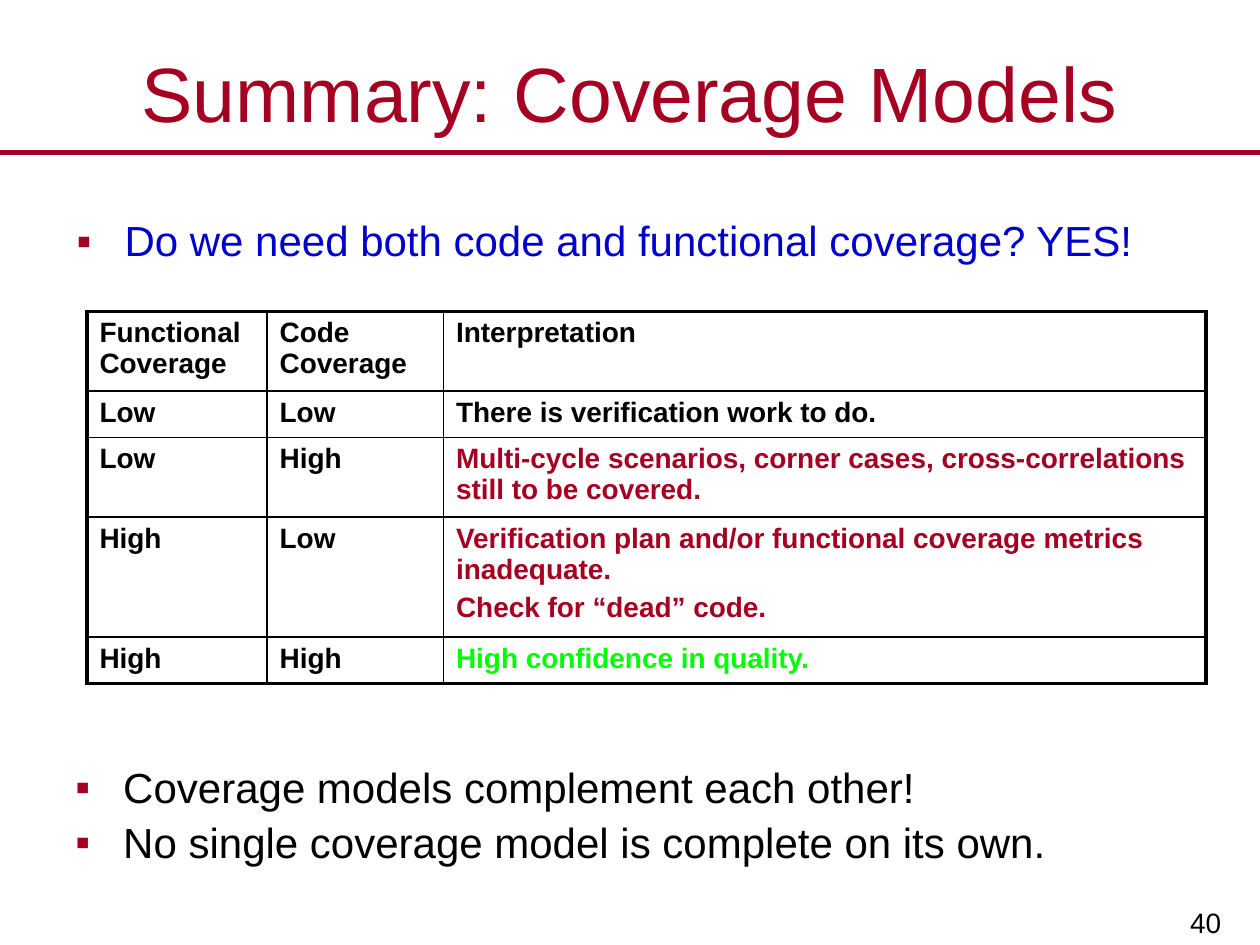
"""Build the summary slide on coverage models."""
from dataclasses import dataclass
from typing import Any

from lxml import etree
from pptx import Presentation
from pptx.dml.color import RGBColor
from pptx.enum.shapes import MSO_CONNECTOR
from pptx.enum.text import MSO_ANCHOR, PP_ALIGN
from pptx.oxml import parse_xml
from pptx.oxml.ns import nsdecls, qn
from pptx.util import Inches, Pt

STRAIGHT = MSO_CONNECTOR.STRAIGHT
TOP, MIDDLE, BOTTOM = MSO_ANCHOR.TOP, MSO_ANCHOR.MIDDLE, MSO_ANCHOR.BOTTOM
LEFT, CENTER, RIGHT = PP_ALIGN.LEFT, PP_ALIGN.CENTER, PP_ALIGN.RIGHT

GRID_COLUMNS, GRID_ROWS = 100, 75
SLIDE_WIDTH, SLIDE_HEIGHT = Inches(10), Inches(7.5)


@dataclass(frozen=True)
class Theme:
    font: str = "Arial"
    red: str = "A50021"
    blue: str = "0000CC"
    green: str = "00FF00"
    black: str = "000000"
    title_size: float = 44
    body_size: float = 24
    small_size: float = 16
    rule_width: float = 3
    outer_border: float = 2.25
    inner_border: float = 1
    gap_share: float = 0.23
    body_line_spacing: float = 0.9
    indent: float = 3.8


@dataclass(frozen=True)
class Area:
    column: float
    row: float
    columns: float
    rows: float


@dataclass(frozen=True)
class TextStyle:
    size: float
    color: str
    bold: bool = False
    alignment: Any = LEFT
    line_spacing: float = 1.0
    bulleted: bool = False


@dataclass(frozen=True)
class TextBlock:
    area: Area
    lines: tuple[str, ...]
    style: TextStyle
    anchor: Any = TOP


@dataclass(frozen=True)
class CoverageRow:
    rows: float
    functional: str
    code: str
    interpretation: tuple[str, ...]
    color: str


THEME = Theme()


def bullet_style(color: str) -> TextStyle:
    return TextStyle(THEME.body_size, color, line_spacing=THEME.body_line_spacing, bulleted=True)


TEXT_BLOCKS = (
    TextBlock(Area(78, 69.3, 19.9, 5.7), ("40",),
              TextStyle(THEME.small_size, THEME.black, alignment=RIGHT), BOTTOM),
    TextBlock(Area(0, 3, 100, 8.6), ("Summary: Coverage Models",),
              TextStyle(THEME.title_size, THEME.red, alignment=CENTER), MIDDLE),
    TextBlock(Area(5.1, 17, 91.1, 5.5),
              ("Do we need both code and functional coverage? YES!",), bullet_style(THEME.blue)),
    TextBlock(Area(5, 60.4, 89.4, 9.1),
              ("Coverage models complement each other!",
               "No single coverage model is complete on its own."), bullet_style(THEME.black)),
)
RULE_ROW = 12.1
TABLE_COLUMN, TABLE_ROW = 6.9, 24.7
TABLE_COLUMNS = (14.3, 14, 60.5)
COVERAGE_ROWS = (
    CoverageRow(6, "Functional Coverage", "Code Coverage", ("Interpretation",), THEME.black),
    CoverageRow(3.6, "Low", "Low", ("There is verification work to do.",), THEME.black),
    CoverageRow(6, "Low", "High",
                ("Multi-cycle scenarios, corner cases, cross-correlations still to be covered.",),
                THEME.red),
    CoverageRow(8.8, "High", "Low",
                ("Verification plan and/or functional coverage metrics inadequate.",
                 "Check for “dead” code."), THEME.red),
    CoverageRow(3.6, "High", "High", ("High confidence in quality.",), THEME.green),
)


def across(columns: float) -> int:
    return round(SLIDE_WIDTH * columns / GRID_COLUMNS)


def down(rows: float) -> int:
    return round(SLIDE_HEIGHT * rows / GRID_ROWS)


def set_attributes(target: Any, values: dict[str, Any]) -> None:
    for name, value in values.items():
        setattr(target, name, value)


def add_bullet(paragraph: Any) -> None:
    properties = paragraph._p.get_or_add_pPr()
    indent = across(THEME.indent)
    properties.set("marL", str(indent))
    properties.set("indent", str(-indent))
    color = etree.SubElement(properties, qn("a:buClr"))
    etree.SubElement(color, qn("a:srgbClr"), val=THEME.red)
    etree.SubElement(properties, qn("a:buFont"), typeface=THEME.font)
    etree.SubElement(properties, qn("a:buChar"), char="▪")


def write_lines(frame: Any, lines: tuple[str, ...], style: TextStyle) -> None:
    for index, line in enumerate(lines):
        paragraph = frame.add_paragraph() if index else frame.paragraphs[0]
        if style.bulleted:
            add_bullet(paragraph)
        set_attributes(paragraph, {
            "alignment": style.alignment,
            "line_spacing": style.line_spacing,
            "space_before": Pt(round(style.size * THEME.gap_share, 1) if index else 0),
        })
        run = paragraph.add_run()
        run.text = line
        set_attributes(run.font, {"name": THEME.font, "size": Pt(style.size), "bold": style.bold})
        run.font.color.rgb = RGBColor.from_string(style.color)


def add_text_block(slide: Any, block: TextBlock) -> None:
    area = block.area
    shape = slide.shapes.add_textbox(across(area.column), down(area.row),
                                     across(area.columns), down(area.rows))
    set_attributes(shape.text_frame, {"word_wrap": True, "vertical_anchor": block.anchor})
    write_lines(shape.text_frame, block.lines, block.style)


def add_rule(slide: Any) -> None:
    rule = slide.shapes.add_connector(STRAIGHT, 0, down(RULE_ROW), SLIDE_WIDTH, down(RULE_ROW))
    rule.line.width = Pt(THEME.rule_width)
    rule.line.color.rgb = RGBColor.from_string(THEME.red)
    etree.SubElement(rule._element.spPr, qn("a:effectLst"))


def set_borders(cell: Any, outer_sides: dict[str, bool]) -> None:
    properties = cell._tc.get_or_add_tcPr()
    for index, (side, is_outer) in enumerate(outer_sides.items()):
        width = Pt(THEME.outer_border if is_outer else THEME.inner_border)
        properties.insert(index, parse_xml(
            f'<a:ln{side} {nsdecls("a")} w="{width}"><a:solidFill>'
            f'<a:srgbClr val="{THEME.black}"/></a:solidFill></a:ln{side}>'))


def add_coverage_table(slide: Any) -> None:
    last_row, last_column = len(COVERAGE_ROWS) - 1, len(TABLE_COLUMNS) - 1
    table = slide.shapes.add_table(
        len(COVERAGE_ROWS), len(TABLE_COLUMNS), across(TABLE_COLUMN), down(TABLE_ROW),
        across(sum(TABLE_COLUMNS)), down(sum(row.rows for row in COVERAGE_ROWS))).table
    set_attributes(table, {"first_row": False, "horz_banding": False})
    for column, columns in zip(table.columns, TABLE_COLUMNS):
        column.width = across(columns)
    for row_index, row in enumerate(COVERAGE_ROWS):
        table.rows[row_index].height = down(row.rows)
        contents = (((row.functional,), THEME.black), ((row.code,), THEME.black),
                    (row.interpretation, row.color))
        for column_index, (lines, color) in enumerate(contents):
            cell = table.cell(row_index, column_index)
            cell.fill.background()
            set_borders(cell, {"L": column_index == 0, "R": column_index == last_column,
                               "T": row_index == 0, "B": row_index == last_row})
            write_lines(cell.text_frame, lines, TextStyle(THEME.small_size, color, bold=True))


def main() -> None:
    presentation = Presentation()
    set_attributes(presentation, {"slide_width": SLIDE_WIDTH, "slide_height": SLIDE_HEIGHT})
    slide = presentation.slides.add_slide(presentation.slide_layouts[6])
    add_rule(slide)
    for block in TEXT_BLOCKS:
        add_text_block(slide, block)
    add_coverage_table(slide)
    presentation.save("out.pptx")


if __name__ == "__main__":
    main()
